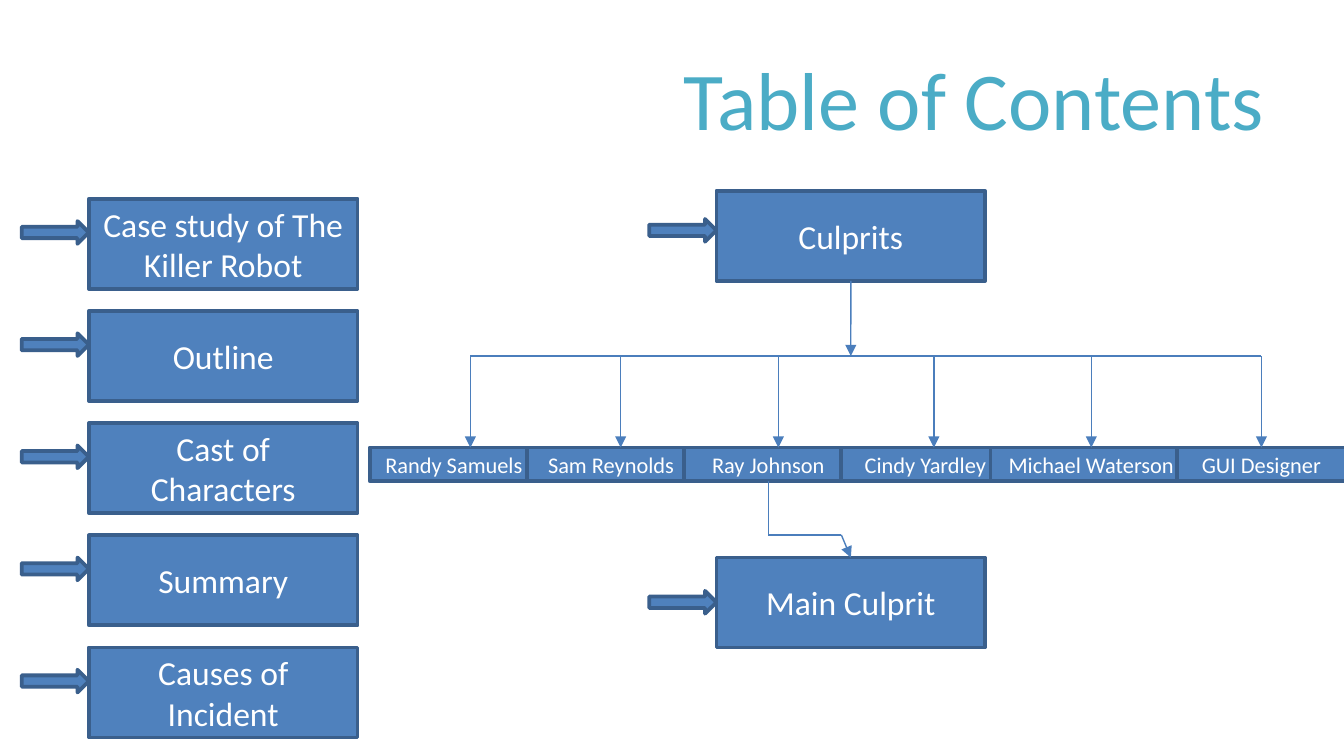
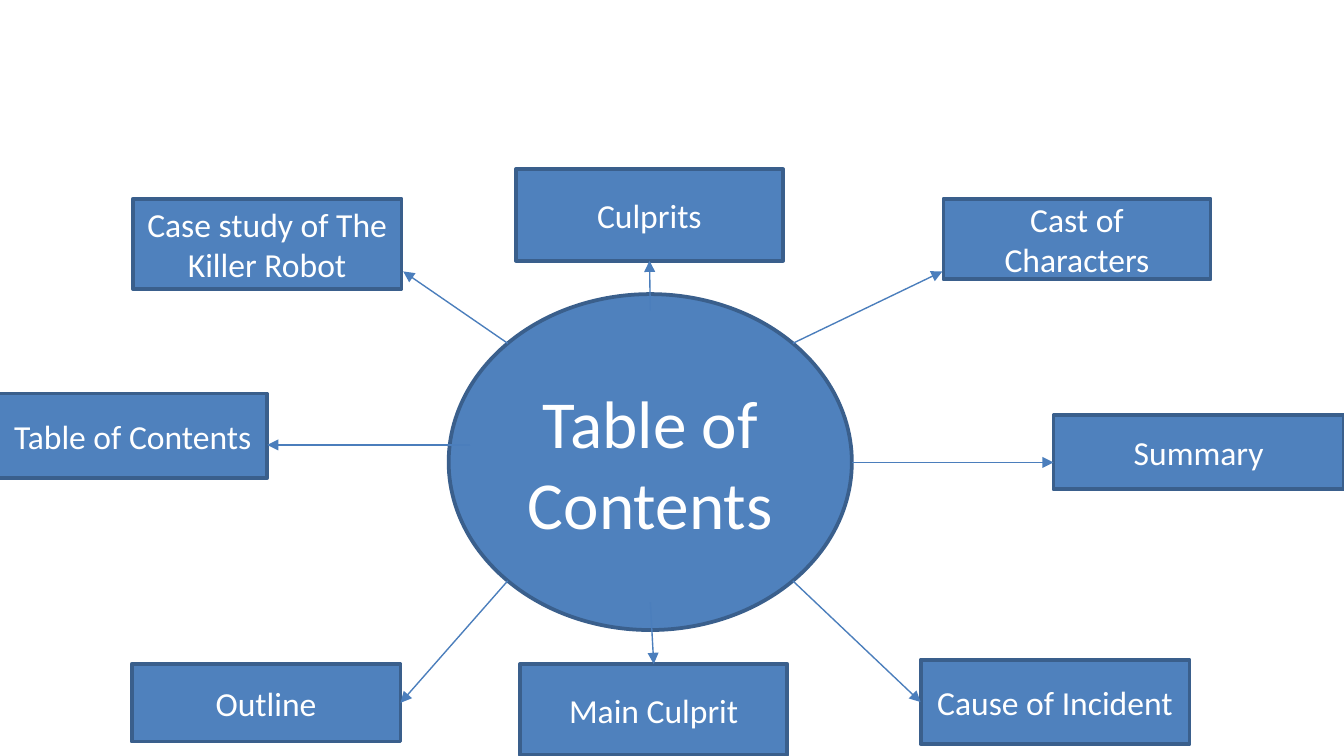
import itertools
import pptx
import pptx.util
import pptx.dml.color
import pptx.enum.shapes
import pptx.enum.text
import pptx.oxml
import pptx.oxml.ns

Cm = pptx.util.Cm
Pt = pptx.util.Pt
SHAPE = pptx.enum.shapes.MSO_SHAPE
ALIGN = pptx.enum.text.PP_ALIGN
MIDDLE = pptx.enum.text.MSO_ANCHOR.MIDDLE

COLOURS = {"title": "4BACC6", "box": "4F81BD", "edge": "3A5F8C",
           "line": "4B7EBC", "text": "FFFFFF", "page": "FFFFFF"}
FONT = "Calibri"
TOP, LEFT, BOTTOM, RIGHT = range(4)

# Content; all lengths in cm
SLIDE_SIZE = (25.4, 14.29)
HEADING = "Table of Contents"
HEADING_AREA = (1.24, 0.79, 22.91, 2.13)

BOX_SIZE = (5.08, 1.7)
ARROW_SIZE = (1.27, 0.43)
SECTIONS = ["Case study of The Killer Robot", "Outline", "Cast of Characters",
            "Summary", "Causes of Incident"]
SECTION_LEFT, SECTION_TOP, SECTION_PITCH = 1.68, 3.76, 2.12

SUSPECT_TOP, SUSPECT_HEIGHT = 8.46, 0.64
BAR_Y, BAR_SPLIT = 6.73, 16.94
# name, left, width, x of the drop line (None: middle of the box)
SUSPECTS = [
    ("Randy Samuels", 6.99, 3.18, 8.89),
    ("Sam Reynolds", 9.96, 3.18, 11.73),
    ("Ray Johnson", 12.93, 3.18, 14.71),
    ("Cindy Yardley", 15.9, 3.18, 17.65),
    ("Michael Waterson", 18.72, 3.81, None),
    ("GUI Designer", 22.25, 3.18, None),
]
MAIN_CULPRIT = "Ray Johnson"
ELBOW_X, ELBOW_Y = 15.9, 10.11

HUB_AREA = (8.48, 5.56, 7.62, 6.35)
# topic, area, start of spoke (diagonal signs or a point), end (side or point)
TOPICS = [
    ("Case study of The Killer Robot", (2.51, 3.76, 5.08, 1.7), (-1, -1), (7.62, 5.13)),
    ("Table of Contents", (-0.03, 7.44, 5.08, 1.6), (8.89, 8.41), (5.05, 8.41)),
    ("Outline", (2.49, 12.55, 5.08, 1.47), (-1, 1), RIGHT),
    ("Cause of Incident", (17.4, 12.47, 5.08, 1.6), (1, 1), LEFT),
    ("Summary", (19.91, 7.85, 5.49, 1.4), (16.1, 8.74), (19.91, 8.74)),
    ("Cast of Characters", (17.83, 3.76, 5.05, 1.52), (1, -1), (17.81, 5.13)),
    ("Main Culprit", (9.83, 12.55, 5.05, 1.73), (12.29, 11.38), TOP),
    ("Culprits", (9.75, 3.2, 5.05, 1.73), (12.29, 5.87), BOTTOM),
]


def colour(name):
    return pptx.dml.color.RGBColor.from_string(COLOURS[name])


def write(frame, text, size, tint, align):
    frame.word_wrap = True
    frame.vertical_anchor = MIDDLE
    paragraph = frame.paragraphs[0]
    paragraph.alignment = align
    run = paragraph.add_run()
    run.text = text
    run.font.name = FONT
    run.font.size = Pt(size)
    run.font.color.rgb = colour(tint)


def add_box(slide, area, text=None, size=18, kind=SHAPE.RECTANGLE):
    box = slide.shapes.add_shape(kind, *map(Cm, area))
    box.shadow.inherit = False
    box.fill.solid()
    box.fill.fore_color.rgb = colour("box")
    box.line.color.rgb = colour("edge")
    box.line.width = Pt(2)
    if text:
        write(box.text_frame, text, size, "text", ALIGN.CENTER)
    return box


def add_pointed_box(slide, left, top, text, arrow_drop):
    """A box with a block arrow pointing at its left side."""
    box = add_box(slide, (left, top, *BOX_SIZE), text)
    add_box(slide, (left - ARROW_SIZE[0], top + arrow_drop, *ARROW_SIZE),
            kind=SHAPE.RIGHT_ARROW)
    return box


def add_line(slide, start, end, arrow=True, begin=None, finish=None):
    """A straight line; begin and finish are (box, side) joints."""
    line = slide.shapes.add_connector(
        pptx.enum.shapes.MSO_CONNECTOR.STRAIGHT, *map(Cm, (*start, *end)))
    line.line.color.rgb = colour("line")
    line.line.width = Pt(0.75)
    if arrow:
        head = pptx.oxml.parse_xml(
            '<a:tailEnd %s type="triangle"/>' % pptx.oxml.ns.nsdecls("a"))
        line.line._get_or_add_ln().append(head)
    line._element.spPr.append(pptx.oxml.parse_xml(
        "<a:effectLst %s/>" % pptx.oxml.ns.nsdecls("a")))
    if begin:
        line.begin_connect(*begin)
    if finish:
        line.end_connect(*finish)


def add_slide(deck, layout):
    slide = deck.slides.add_slide(deck.slide_layouts[layout])
    slide.background.fill.solid()
    slide.background.fill.fore_color.rgb = colour("page")
    return slide


def build_contents(deck):
    slide = add_slide(deck, 5)
    title = slide.shapes.title
    title.left, title.top, title.width, title.height = map(Cm, HEADING_AREA)
    title.text_frame.auto_size = pptx.enum.text.MSO_AUTO_SIZE.NONE
    write(title.text_frame, HEADING, 44, "title", ALIGN.RIGHT)

    # Sections down the left
    for row, section in enumerate(SECTIONS):
        add_pointed_box(slide, SECTION_LEFT, SECTION_TOP + row * SECTION_PITCH,
                        section, 0.42)

    # Culprits and the main culprit
    culprits = add_pointed_box(slide, 13.54, 3.61, "Culprits", 0.53)
    main = add_pointed_box(slide, 13.54, 10.54, "Main Culprit", 0.63)

    # Suspects, each under a drop line
    boxes, drops = {}, []
    for name, left, width, drop in SUSPECTS:
        box = add_box(slide, (left, SUSPECT_TOP, width, SUSPECT_HEIGHT), name, 12)
        joint = (box, TOP) if drop is None else None
        x = left + width / 2 if drop is None else drop
        add_line(slide, (x, BAR_Y), (x, SUSPECT_TOP), finish=joint)
        boxes[name] = box
        drops.append(x)

    # Bar above the suspects
    for x1, x2 in itertools.pairwise((drops[0], BAR_SPLIT, drops[-1])):
        add_line(slide, (x1, BAR_Y), (x2, BAR_Y), arrow=False)
    add_line(slide, (16.08, 5.31), (16.08, BAR_Y), begin=(culprits, BOTTOM))

    # Path from the suspect to the main culprit
    suspect_x = 14.52
    add_line(slide, (suspect_x, 9.1), (suspect_x, ELBOW_Y), arrow=False,
             begin=(boxes[MAIN_CULPRIT], BOTTOM))
    add_line(slide, (suspect_x, ELBOW_Y), (ELBOW_X, ELBOW_Y), arrow=False)
    add_line(slide, (ELBOW_X, ELBOW_Y), (16.08, 10.54), finish=(main, TOP))


def build_hub(deck):
    slide = add_slide(deck, 6)
    add_box(slide, HUB_AREA, HEADING, 36, SHAPE.OVAL)
    left, top, width, height = HUB_AREA
    diagonal = 0.5 ** 0.5 / 2

    # Topics around the hub
    for topic, area, start, end in TOPICS:
        box = add_box(slide, area, topic)
        if abs(start[0]) == 1:
            start = (left + width * (0.5 + start[0] * diagonal),
                     top + height * (0.5 + start[1] * diagonal))
        if isinstance(end, tuple):
            add_line(slide, start, end)
        else:
            add_line(slide, start, start, finish=(box, end))


def main():
    deck = pptx.Presentation()
    deck.slide_width, deck.slide_height = map(Cm, SLIDE_SIZE)
    build_contents(deck)
    build_hub(deck)
    deck.save("out.pptx")


if __name__ == "__main__":
    main()
